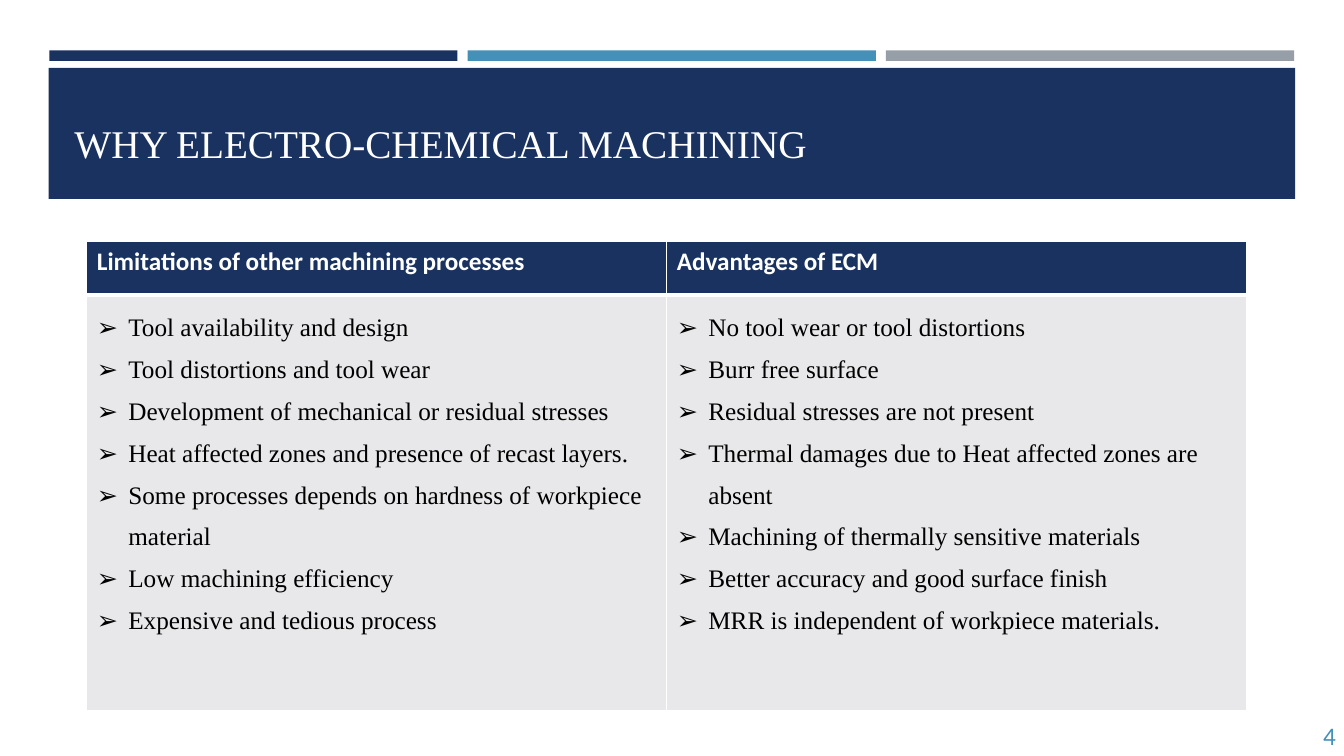
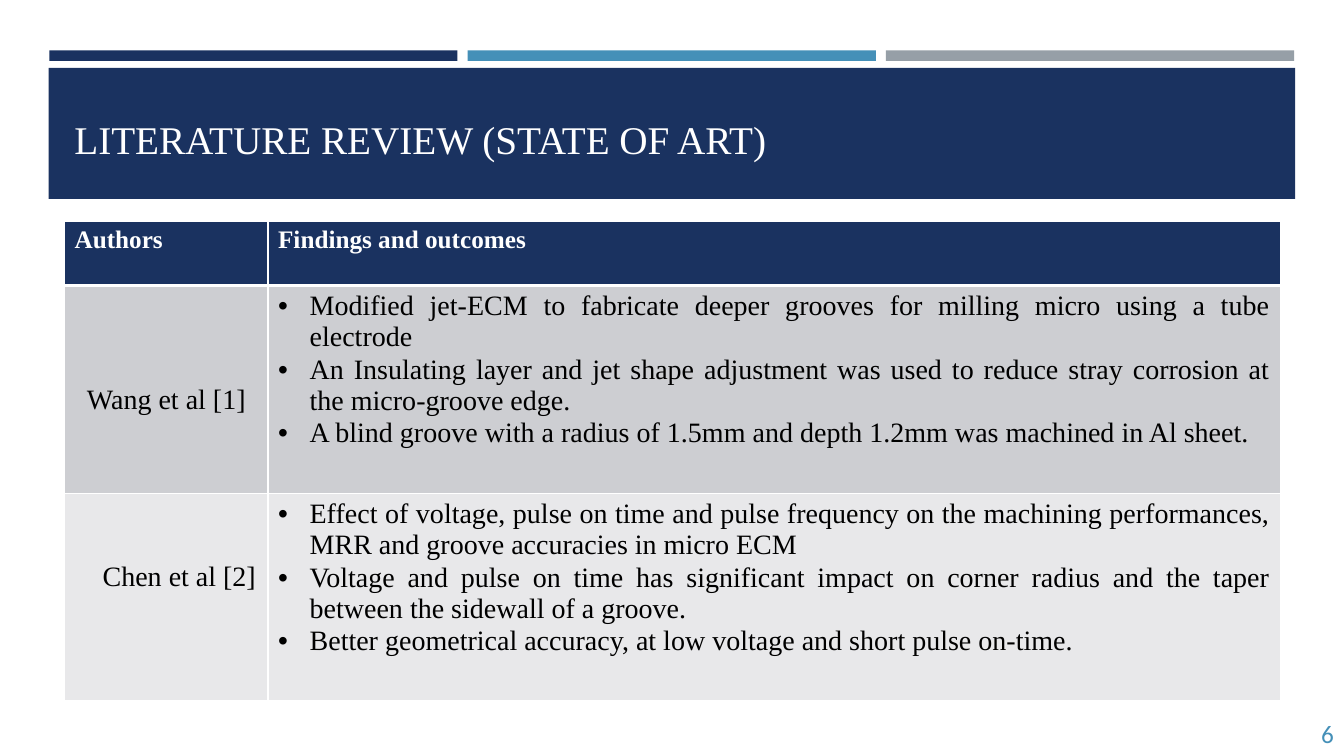
from dataclasses import dataclass

from lxml import etree
from pptx import Presentation
from pptx import util as u
from pptx.dml.color import RGBColor
from pptx.enum import shapes, text
from pptx.oxml import ns

Pt = u.Pt
COLORS = {
    "navy": "1A3260",
    "blue": "4590B8",
    "gray": "969FA7",
    "band_dark": "CDCED2",
    "band_light": "E8E8EA",
    "white": "FFFFFF",
    "black": "000000",
}
SERIF, SANS = "Times New Roman", "Calibri"
LEFT, CENTER, RIGHT, JUSTIFY = (
    text.PP_ALIGN.LEFT, text.PP_ALIGN.CENTER, text.PP_ALIGN.RIGHT, text.PP_ALIGN.JUSTIFY
)
BULLET_INDENT = 22.5
BAR_LEFT, BAR_STEP, BAR_WIDTH = 35.2, 298.8, 291.6


@dataclass(frozen=True)
class TextStyle:
    size: float
    color: str
    font: str = SERIF
    bold: bool = False
    align: text.PP_ALIGN = LEFT
    bullet: str = ""
    line_spacing: float = 1.0
    space_before: float = 0


@dataclass(frozen=True)
class Box:
    left: float
    top: float
    width: float
    height: float

    def lengths(self) -> tuple:
        return Pt(self.left), Pt(self.top), Pt(self.width), Pt(self.height)


@dataclass(frozen=True)
class CellContent:
    lines: tuple[str, ...]
    style: TextStyle
    fill: str
    margin_top: float = 3.6
    margin_left: float = 7.2


@dataclass(frozen=True)
class TableSlide:
    title: str
    title_top: float
    number: str
    number_box: Box
    table_left: float
    table_top: float
    columns: tuple[float, ...]
    rows: tuple[float, ...]
    cells: tuple[tuple[CellContent, ...], ...]


TITLE = TextStyle(28, "white")
NUMBER = TextStyle(18, "blue", SANS, align=RIGHT)
SANS_HEADER = TextStyle(18, "white", SANS, bold=True)
SERIF_HEADER = TextStyle(18, "white", bold=True)
ARROW_LIST = TextStyle(18, "black", bullet="➢", line_spacing=1.5)
FINDINGS = TextStyle(20, "black", align=JUSTIFY, bullet="•", space_before=0.9)
CENTERED_AUTHOR = TextStyle(20, "black", align=CENTER)
AUTHOR = TextStyle(20, "black")

LIMITATIONS = (
    "Tool availability and design",
    "Tool distortions and tool wear",
    "Development of mechanical or residual stresses",
    "Heat affected zones and presence of recast layers.",
    "Some processes depends on hardness of workpiece material",
    "Low machining efficiency",
    "Expensive and tedious process",
)
ADVANTAGES = (
    "No tool wear or tool distortions",
    "Burr free surface",
    "Residual stresses are not present",
    "Thermal damages due to Heat affected zones are absent",
    "Machining of thermally sensitive materials",
    "Better accuracy and good surface finish",
    "MRR is independent of workpiece materials.",
)
WANG_FINDINGS = (
    "Modified jet-ECM to fabricate deeper grooves for milling micro using a tube electrode",
    "An Insulating layer and jet shape adjustment was used to reduce stray corrosion at "
    "the micro-groove edge.",
    "A blind groove with a radius of 1.5mm and depth 1.2mm was machined in Al sheet.",
)
CHEN_FINDINGS = (
    "Effect of voltage, pulse on time and pulse frequency on the machining performances, "
    "MRR and groove accuracies in micro ECM",
    "Voltage and pulse on time has significant impact on corner radius and the taper "
    "between the sidewall of a groove.",
    "Better geometrical accuracy, at low voltage and short pulse on-time.",
)

SLIDES = (
    TableSlide(
        "WHY ELECTRO-CHEMICAL MACHINING", 42.5, "4", Box(878.4, 511.2, 82.8, 28.8),
        62, 172.3, (414.3, 414.3), (38.6, 297),
        (
            (
                CellContent(("Limitations of other machining processes",), SANS_HEADER, "navy"),
                CellContent(("Advantages of ECM",), SANS_HEADER, "navy"),
            ),
            (
                CellContent(LIMITATIONS, ARROW_LIST, "band_light"),
                CellContent(ADVANTAGES, ARROW_LIST, "band_light"),
            ),
        ),
    ),
    TableSlide(
        "LITERATURE REVIEW (STATE OF ART)", 39.6, "6", Box(877, 509.8, 82.8, 28.8),
        46.1, 158, (145.4, 722.9), (46, 148.7, 147.6),
        (
            (
                CellContent(("Authors",), SERIF_HEADER, "navy"),
                CellContent(("Findings and outcomes",), SERIF_HEADER, "navy"),
            ),
            (
                CellContent(("Wang et al [1]",), CENTERED_AUTHOR, "band_dark", margin_top=70.5),
                CellContent(WANG_FINDINGS, FINDINGS, "band_dark"),
            ),
            (
                CellContent(("Chen et al [2]",), AUTHOR, "band_light", 48.5, 27.2),
                CellContent(CHEN_FINDINGS, FINDINGS, "band_light"),
            ),
        ),
    ),
)


def rgb(name: str) -> RGBColor:
    return RGBColor.from_string(COLORS[name])


def add_bullet(paragraph, char: str) -> None:
    properties = paragraph._p.get_or_add_pPr()
    properties.set("marL", str(Pt(BULLET_INDENT)))
    properties.set("indent", str(-Pt(BULLET_INDENT)))
    etree.SubElement(properties, ns.qn("a:buFont"), typeface="Arial")
    etree.SubElement(properties, ns.qn("a:buChar"), char=char)


def write_lines(frame, lines: tuple[str, ...], style: TextStyle) -> None:
    for index, line in enumerate(lines):
        paragraph = frame.add_paragraph() if index else frame.paragraphs[0]
        if style.bullet:
            add_bullet(paragraph, style.bullet)
        paragraph.alignment = style.align
        paragraph.line_spacing = style.line_spacing
        if index:
            paragraph.space_before = Pt(style.space_before)
        run = paragraph.add_run()
        run.text = line
        run.font.size = Pt(style.size)
        run.font.name = style.font
        run.font.bold = style.bold
        run.font.color.rgb = rgb(style.color)


def add_text(slide, box: Box, line: str, style: TextStyle, anchor: text.MSO_ANCHOR) -> None:
    frame = slide.shapes.add_textbox(*box.lengths()).text_frame
    frame.word_wrap = True
    frame.vertical_anchor = anchor
    write_lines(frame, (line,), style)


def add_band(slide, box: Box, color: str) -> None:
    band = slide.shapes.add_shape(shapes.MSO_SHAPE.RECTANGLE, *box.lengths())
    band.shadow.inherit = False
    band.fill.solid()
    band.fill.fore_color.rgb = rgb(color)
    band.line.fill.background()


def add_borders(cell, bottom_width: float) -> None:
    properties = cell._tc.get_or_add_tcPr()
    for side, width in (("L", 1), ("R", 1), ("T", 1), ("B", bottom_width)):
        border = etree.SubElement(properties, ns.qn(f"a:ln{side}"), w=str(Pt(width)))
        fill = etree.SubElement(border, ns.qn("a:solidFill"))
        etree.SubElement(fill, ns.qn("a:srgbClr"), val=COLORS["white"])


def fill_cell(cell, content: CellContent, is_header: bool) -> None:
    add_borders(cell, 3 if is_header else 1)
    cell.fill.solid()
    cell.fill.fore_color.rgb = rgb(content.fill)
    cell.margin_top = Pt(content.margin_top)
    cell.margin_left = Pt(content.margin_left)
    write_lines(cell.text_frame, content.lines, content.style)


def add_content_table(slide, page: TableSlide) -> None:
    box = Box(page.table_left, page.table_top, sum(page.columns), sum(page.rows))
    table = slide.shapes.add_table(len(page.rows), len(page.columns), *box.lengths()).table
    for column, width in zip(table.columns, page.columns):
        column.width = Pt(width)
    for row_index, (row, height) in enumerate(zip(table.rows, page.rows)):
        row.height = Pt(height)
        for cell, content in zip(row.cells, page.cells[row_index]):
            fill_cell(cell, content, row_index == 0)


def add_header(slide, page: TableSlide) -> None:
    for index, color in enumerate(("navy", "blue", "gray")):
        add_band(slide, Box(BAR_LEFT + index * BAR_STEP, 36, BAR_WIDTH, 7.5), color)
    add_band(slide, Box(34.8, 48.5, 890.3, 93.6), "navy")
    title_box = Box(46.1, page.title_top, 868.3, 80)
    add_text(slide, title_box, page.title, TITLE, text.MSO_ANCHOR.BOTTOM)


def main() -> None:
    deck = Presentation()
    deck.slide_width, deck.slide_height = Pt(960), Pt(540)
    for page in SLIDES:
        slide = deck.slides.add_slide(deck.slide_layouts[6])
        add_header(slide, page)
        add_content_table(slide, page)
        add_text(slide, page.number_box, page.number, NUMBER, text.MSO_ANCHOR.MIDDLE)
    deck.save("out.pptx")


if __name__ == "__main__":
    main()
